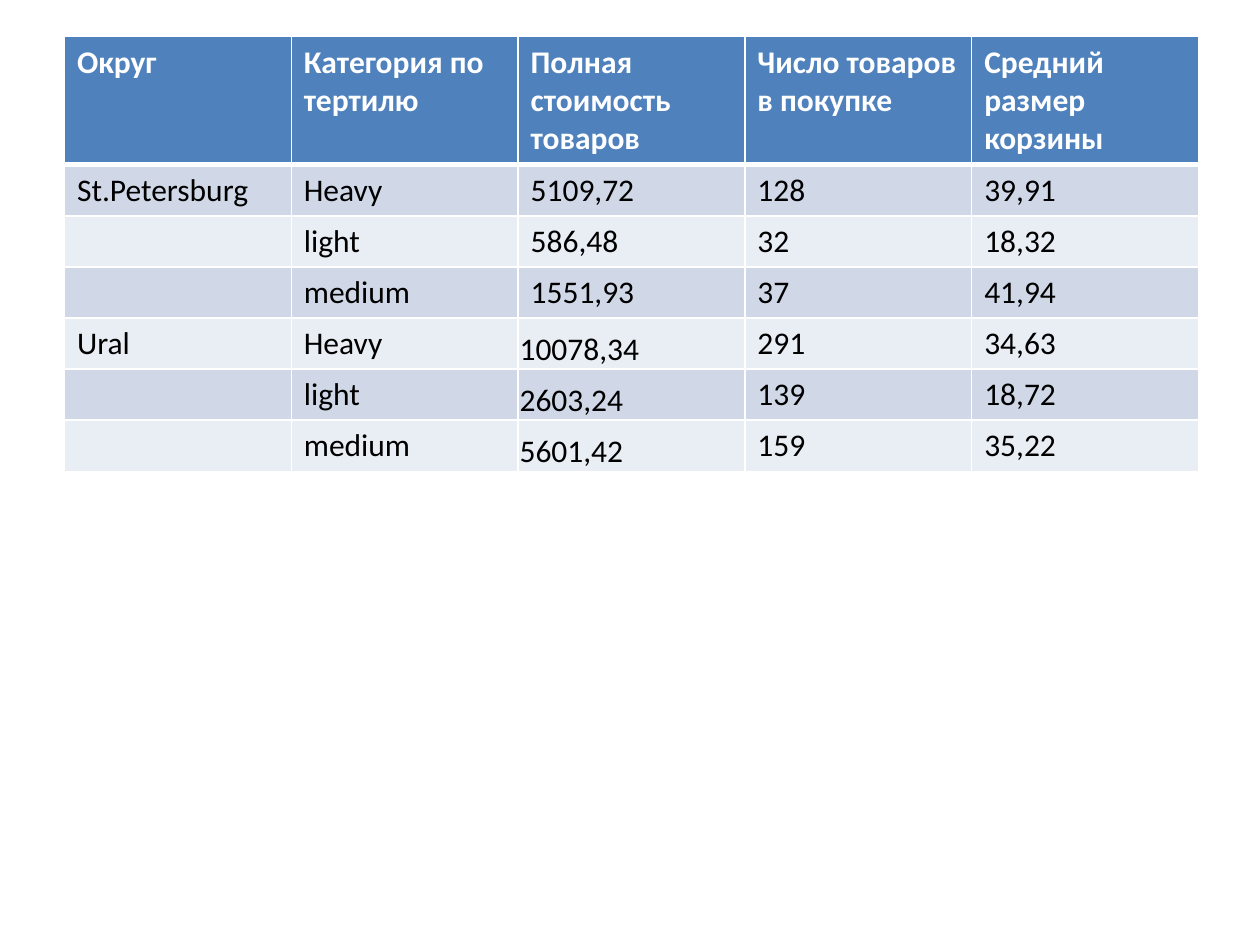
from pptx import Presentation
from pptx.dml.color import RGBColor as RGB
from pptx.enum.text import MSO_ANCHOR as Anchor
from pptx.oxml.ns import qn
from pptx.util import Cm, Pt
from lxml.etree import SubElement as Sub

WHITE = RGB(0xFF, 0xFF, 0xFF)
BLACK = RGB(0, 0, 0)
BLUE = RGB(0x4F, 0x81, 0xBD)
BANDS = RGB(0xE9, 0xED, 0xF4), RGB(0xD0, 0xD8, 0xE8)

HEAD = ("Округ", "Категория по тертилю", "Полная стоимость товаров",
        "Число товаров в покупке", "Средний размер корзины")
ROWS = (
    ("St.Petersburg", "Heavy", "5109,72", "128", "39,91"),
    ("", "light", "586,48", "32", "18,32"),
    ("", "medium", "1551,93", "37", "41,94"),
    ("Ural", "Heavy", "10078,34", "291", "34,63"),
    ("", "light", "2603,24", "139", "18,72"),
    ("", "medium", "5601,42", "159", "35,22"),
)
COST = 2
URAL = 4  # first table row of the Ural district


class Deck:
    font = "Calibri"
    size = Pt(18)

    def __init__(self):
        self.prs = Presentation()
        self.prs.slide_width, self.prs.slide_height = Cm(25.4), Cm(19.05)
        self.slide = self.prs.slides.add_slide(self.prs.slide_layouts[6])

    def table(self, left, top, width, heights, rows):
        count = len(rows[0])
        frame = self.slide.shapes.add_table(
            len(rows), count, left, top, width, sum(heights))
        grid = frame.table
        grid.horz_banding = False
        for col in grid.columns:
            col.width = width // count
        for i, (row, high) in enumerate(zip(rows, heights)):
            grid.rows[i].height = high
            for j, text in enumerate(row):
                self.cell(grid.cell(i, j), text, i)
        return grid

    def cell(self, cell, text, row):
        head = row == 0
        cell.text = text
        font = cell.text_frame.paragraphs[0].font
        font.name, font.size, font.bold = self.font, self.size, head
        font.color.rgb = WHITE if head else BLACK
        self.edges(cell, top=3 if row == 1 else 1, bottom=3 if head else 1)
        cell.fill.solid()
        cell.fill.fore_color.rgb = BLUE if head else BANDS[row % 2]

    def edges(self, cell, top, bottom):
        """Draw white cell borders; top and bottom are widths in points."""
        props = cell._tc.get_or_add_tcPr()
        for side, wide in (("L", 1), ("R", 1), ("T", top), ("B", bottom)):
            line = Sub(props, qn(f"a:ln{side}"), w=str(Pt(wide)))
            fill = Sub(line, qn("a:solidFill"))
            Sub(fill, qn("a:srgbClr"), val=str(WHITE))

    def sink(self, cell):
        """Set the text at the bottom left corner, nearly without margins."""
        cell.vertical_anchor = Anchor.BOTTOM
        cell.margin_left = cell.margin_right = cell.margin_top = Cm(0.03)
        cell.margin_bottom = 0


def main():
    deck = Deck()
    heights = [Cm(2.39)] + [Cm(1.03)] * len(ROWS)
    grid = deck.table(Cm(1.3), Cm(0.74), Cm(22.86), heights, (HEAD, *ROWS))
    for row in range(URAL, len(ROWS) + 1):
        deck.sink(grid.cell(row, COST))
    deck.prs.save("out.pptx")


if __name__ == "__main__":
    main()
